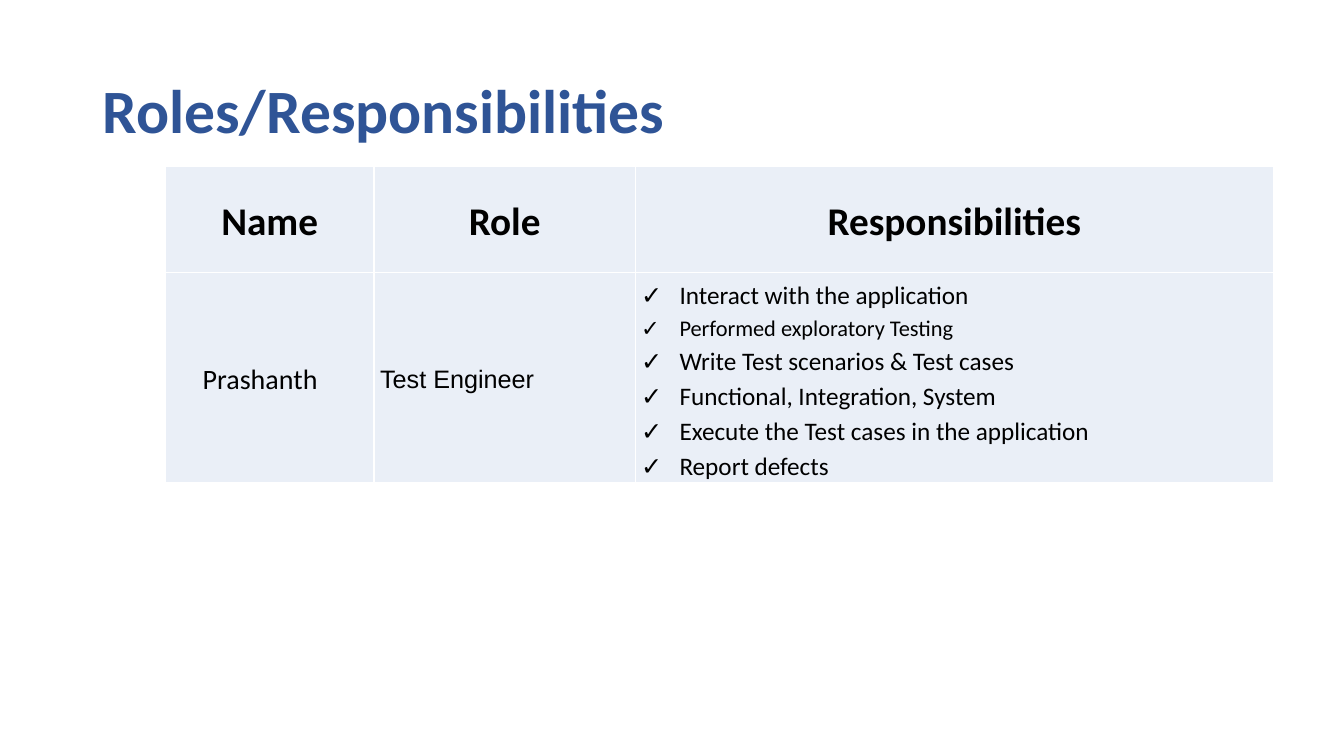
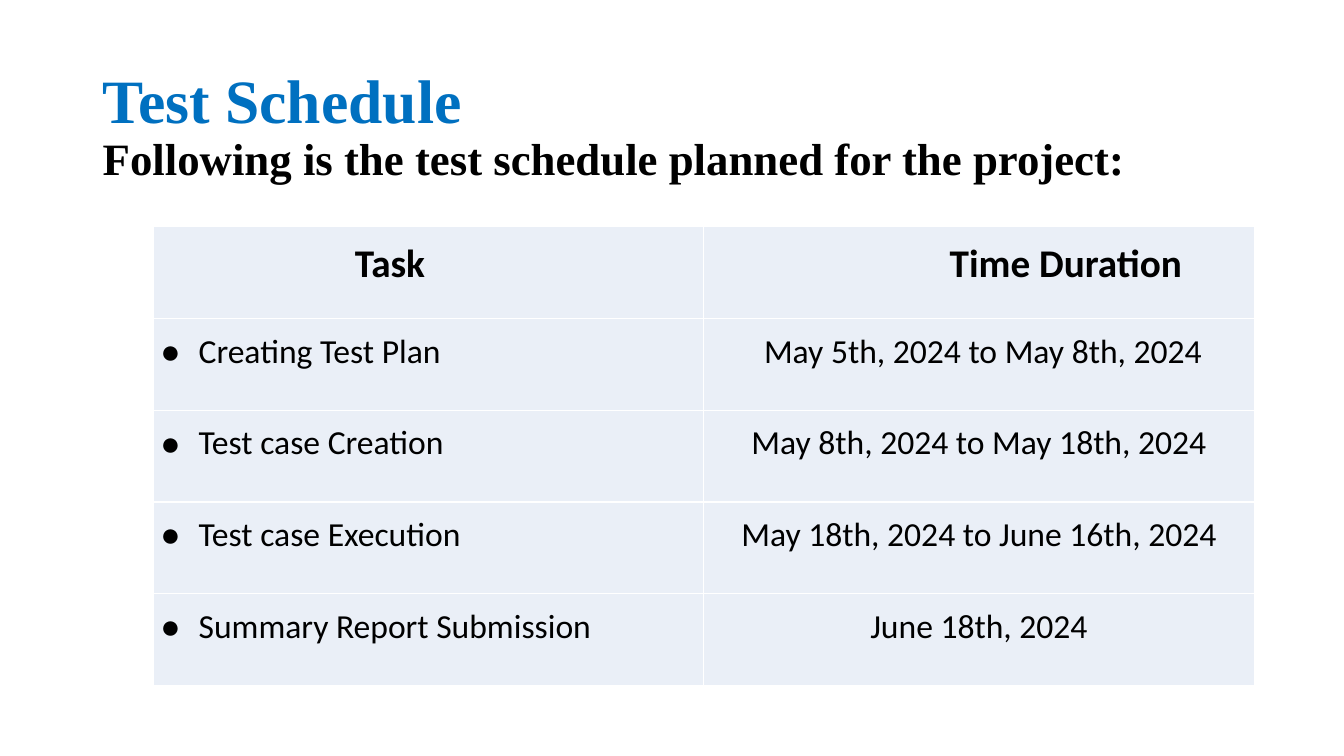
"""Build two test plan slides: roles and schedule."""
from dataclasses import dataclass

from lxml.etree import SubElement as Sub
from pptx import Presentation
from pptx.dml.color import RGBColor as Rgb
from pptx.enum.text import MSO_ANCHOR as Anchor, PP_ALIGN as Align
from pptx.oxml import parse_xml
from pptx.oxml.ns import nsdecls, qn
from pptx.util import Inches, Pt

BLACK, WHITE, PALE = "000000", "FFFFFF", "EAEFF7"
NAVY, BLUE = "2F5496", "0070C0"
SANS, SERIF = "Calibri", "Times New Roman"
LEFT, MID = Align.LEFT, Align.CENTER
HANG = 0.38


@dataclass(frozen=True)
class Line:
    """One paragraph with its look."""
    text: str
    size: float
    bold: bool = False
    font: str = SANS
    color: str = BLACK
    align: Align = LEFT
    indent: float = 0
    mark: str = ""
    space: float = 1.14


@dataclass(frozen=True)
class Grid:
    """A table: place, columns, rows, insets and cells of lines."""
    left: float
    top: float
    cols: list[float]
    rows: list[float]
    pad: tuple[float, float]
    anchor: Anchor
    cells: list[list[list[Line]]]


@dataclass(frozen=True)
class Page:
    """A slide: title lines, title size and table."""
    title: list[Line]
    width: float
    height: float
    grid: Grid


def tint(code: str) -> Rgb:
    """Turn a hex string into a colour."""
    return Rgb.from_string(code)


def write(frame, lines: list[Line]) -> None:
    """Fill a text frame with lines."""
    for i, line in enumerate(lines):
        para = frame.add_paragraph() if i else frame.paragraphs[0]
        para.alignment, para.line_spacing = line.align, line.space
        run = para.add_run()
        run.text = line.text
        font = run.font
        font.name, font.size, font.bold = line.font, Pt(line.size), line.bold
        font.color.rgb = tint(line.color)
        props = para._p.get_or_add_pPr()
        hang = HANG if line.mark else 0
        props.set("marL", str(Inches(line.indent + hang)))
        props.set("indent", str(-Inches(hang)))
        if line.mark:
            Sub(props, qn("a:buFont")).set("typeface", "Arial")
            Sub(props, qn("a:buChar")).set("char", line.mark)


def edge(cell) -> None:
    """Give a cell thin white borders."""
    props = cell._tc.get_or_add_tcPr()
    for i, side in enumerate("LRTB"):
        props.insert(i, parse_xml(
            f'<a:ln{side} {nsdecls("a")} w="{Pt(1)}"><a:solidFill>'
            f'<a:srgbClr val="{WHITE}"/></a:solidFill></a:ln{side}>'))


def table(slide, grid: Grid) -> None:
    """Draw a grid as a table."""
    box = map(Inches, (grid.left, grid.top, sum(grid.cols), sum(grid.rows)))
    tab = slide.shapes.add_table(len(grid.rows), len(grid.cols), *box).table
    for col, wide in zip(tab.columns, grid.cols):
        col.width = Inches(wide)
    for row, high, data in zip(tab.rows, grid.rows, grid.cells):
        row.height = Inches(high)
        for cell, lines in zip(row.cells, data):
            cell.fill.solid()
            cell.fill.fore_color.rgb = tint(PALE)
            cell.vertical_anchor = grid.anchor
            cell.margin_left = cell.margin_right = Inches(grid.pad[0])
            cell.margin_top = cell.margin_bottom = Inches(grid.pad[1])
            edge(cell)
            write(cell.text_frame, lines)


def draw(deck, page: Page) -> None:
    """Add one page to the deck."""
    slide = deck.slides.add_slide(deck.slide_layouts[6])
    box = map(Inches, (0.92, 0.4, page.width, page.height))
    frame = slide.shapes.add_textbox(*box).text_frame
    frame.word_wrap = True
    frame.vertical_anchor = Anchor.MIDDLE
    write(frame, page.title)
    table(slide, page.grid)


def title(text: str, font: str, color: str, size: float = 44) -> Line:
    """Make a title line."""
    return Line(text, size, True, font, color, space=0.9)


def roles() -> Page:
    """Describe the roles page."""
    heads = ["Name", "Role", "Responsibilities"]
    duties = [("Interact with the application", 18),
              ("Performed exploratory Testing", 16),
              ("Write Test scenarios & Test cases", 18),
              ("Functional, Integration, System", 18),
              ("Execute the Test cases in the application", 18),
              ("Report defects", 18)]
    cells = [[[Line(head, 28, True, align=MID)] for head in heads],
             [[Line("Prashanth", 20, indent=0.31)],
              [Line("Test Engineer", 18, font="Arial")],
              [Line(text, size, mark="✓") for text, size in duties]]]
    grid = Grid(1.64, 1.65, [2.07, 2.59, 6.33], [1.05, 2.09],
                (0.06, 0.04), Anchor.MIDDLE, cells)
    return Page([title("Roles/Responsibilities", SANS, NAVY)], 11.5, 1.45, grid)


def plan() -> Page:
    """Describe the schedule page."""
    tasks = [("Creating Test Plan", "May 5th, 2024 to May 8th, 2024", 0.08),
             ("Test case Creation", "May 8th, 2024 to May 18th, 2024", 0),
             ("Test case Execution", "May 18th, 2024 to June 16th, 2024", 0),
             ("Summary Report Submission", "June 18th, 2024", 0)]
    cells = [[[Line("Task", 28, True, indent=1.93)],
              [Line("Time Duration", 28, True, indent=2.37)]]]
    cells += [[[Line(task, 24, mark="●")],
               [Line(time, 24, align=MID, indent=shift)]]
              for task, time, shift in tasks]
    grid = Grid(1.52, 2.25, [5.46] * 2, [0.91] * len(cells),
                (0.07, 0.07), Anchor.TOP, cells)
    return Page([title("Test Schedule", SERIF, BLUE),
                 title("Following is the test schedule planned for the project:",
                       SERIF, BLACK, 32)], 12.28, 1.73, grid)


def main() -> None:
    """Build and save the deck."""
    deck = Presentation()
    deck.slide_width, deck.slide_height = Inches(13.33), Inches(7.5)
    for page in (roles(), plan()):
        draw(deck, page)
    deck.save("out.pptx")


if __name__ == "__main__":
    main()
